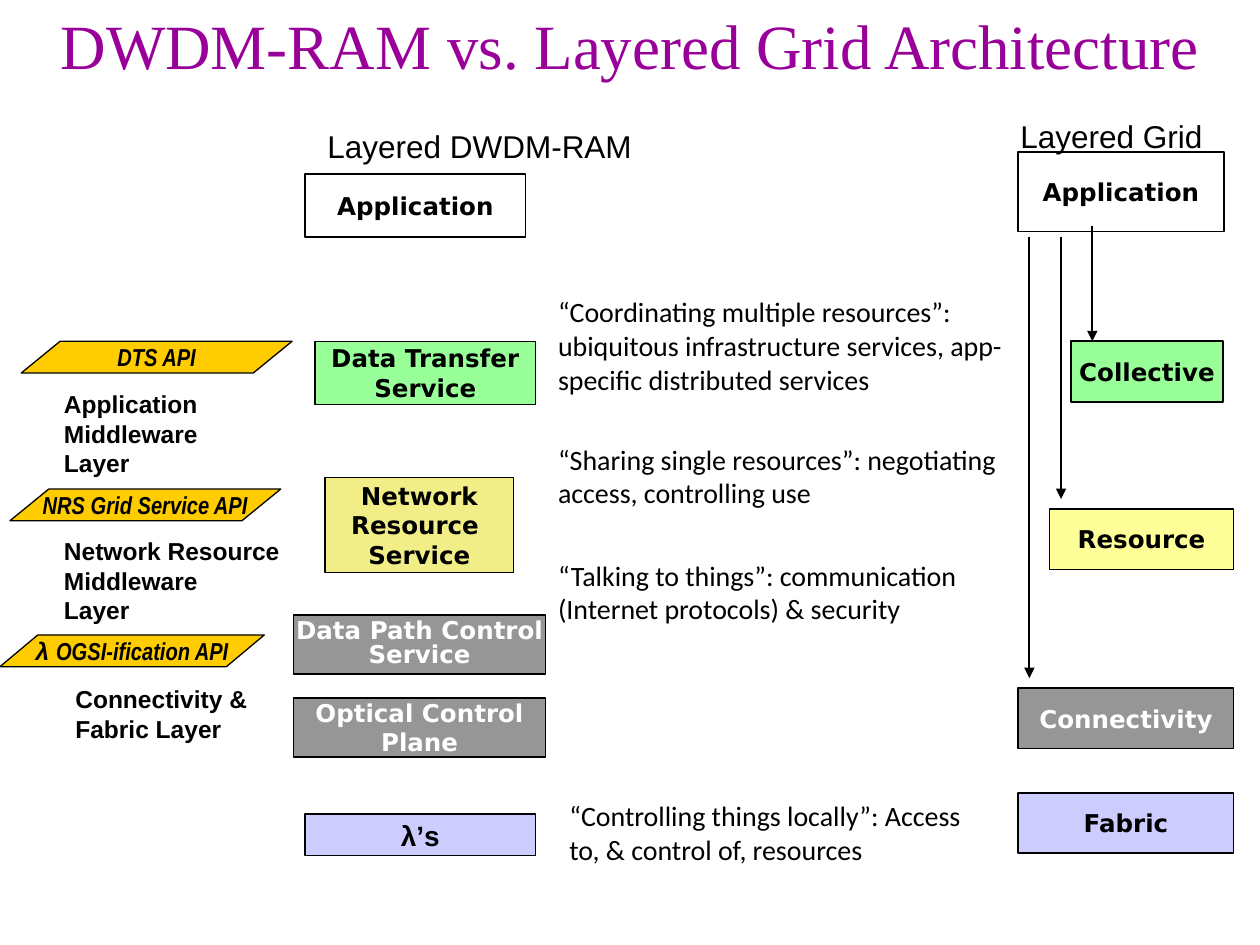
from lxml import etree
from pptx import Presentation
from pptx.dml.color import RGBColor
from pptx.enum.shapes import MSO_CONNECTOR, MSO_SHAPE
from pptx.enum.text import MSO_ANCHOR, MSO_AUTO_SIZE, PP_ALIGN
from pptx.oxml.ns import qn
from pptx.util import Cm, Pt

RECTANGLE = MSO_SHAPE.RECTANGLE
PARALLELOGRAM = MSO_SHAPE.PARALLELOGRAM
STRAIGHT = MSO_CONNECTOR.STRAIGHT
MIDDLE, TOP = MSO_ANCHOR.MIDDLE, MSO_ANCHOR.TOP
CENTER, LEFT = PP_ALIGN.CENTER, PP_ALIGN.LEFT
GROW, FIXED = MSO_AUTO_SIZE.SHAPE_TO_FIT_TEXT, MSO_AUTO_SIZE.NONE

BLACK, WHITE, PURPLE = "000000", "FFFFFF", "990099"
GREEN, YELLOW, KHAKI = "99FF99", "FFFF99", "F1EE87"
GREY, LAVENDER, GOLD = "969696", "CCCCFF", "FFCC00"


def rgb(value):
    return RGBColor.from_string(value)


def write(box, lines, size, face, color=BLACK, bold=False, italic=False,
          align=LEFT, anchor=TOP, wrap=False, spacing=None, fit=FIXED):
    """Each line is a list of (text, font) runs, or a string in the given font."""
    frame = box.text_frame
    frame.word_wrap = wrap
    frame.auto_size = fit
    frame.vertical_anchor = anchor
    for number, line in enumerate(lines):
        para = frame.paragraphs[0] if number == 0 else frame.add_paragraph()
        para.alignment = align
        if spacing:
            para.line_spacing = spacing
        for text, name in ([(line, face)] if isinstance(line, str) else line):
            span = para.add_run()
            span.text = text
            span.font.name = name
            span.font.size = Pt(size)
            span.font.bold = bold
            span.font.italic = italic
            span.font.color.rgb = rgb(color)


deck = Presentation()
deck.slide_width, deck.slide_height = Cm(25.4), Cm(19.05)
page = deck.slides.add_slide(deck.slide_layouts[6])
shapes = page.shapes

# Arrows from the grid application down to the lower layers
for x, start, end in [(20.75, 4.78, 13.67), (22.02, 4.55, 6.88), (21.39, 4.78, 10.06)]:
    arrow = shapes.add_connector(STRAIGHT, Cm(x), Cm(start), Cm(x), Cm(end))
    arrow.line.color.rgb = rgb(BLACK)
    arrow.line.width = Pt(1)
    outline = arrow.line._get_or_add_ln()
    etree.SubElement(outline, qn("a:tailEnd"), type="triangle")
    etree.SubElement(arrow._element.spPr, qn("a:effectLst"))

# Layer boxes: grid stack on the right, DWDM-RAM stack in the middle
grid_layers = [
    (20.53, 3.07, 4.14, 1.6, None, BLACK, ["Application"]),
    (21.59, 6.88, 3.07, 1.22, GREEN, BLACK, ["Collective"]),
    (21.16, 10.26, 3.71, 1.22, YELLOW, BLACK, ["Resource"]),
    (20.53, 13.87, 4.34, 1.22, GREY, WHITE, ["Connectivity"]),
    (20.53, 15.98, 4.34, 1.22, LAVENDER, BLACK, ["Fabric"]),
]
dwdm_layers = [
    (6.15, 3.51, 4.45, 1.27, None, BLACK, ["Application"]),
    (6.35, 6.88, 4.45, 1.27, GREEN, BLACK, ["Data Transfer", "Service"]),
    (6.55, 9.63, 3.81, 1.91, KHAKI, BLACK, ["Network", "Resource ", "Service"]),
    (5.92, 12.4, 5.08, 1.19, GREY, WHITE, ["Data Path Control", "Service"]),
    (5.92, 14.07, 5.08, 1.19, GREY, WHITE, ["Optical Control", "Plane"]),
    (6.15, 16.41, 4.65, 0.84, LAVENDER, BLACK, ["λ’s"]),
]
for layers, border in [(grid_layers, 1), (dwdm_layers, 0.75)]:
    for x, y, width, height, fill, color, lines in layers:
        box = shapes.add_shape(RECTANGLE, Cm(x), Cm(y), Cm(width), Cm(height))
        box.shadow.inherit = False
        if fill:
            box.fill.solid()
            box.fill.fore_color.rgb = rgb(fill)
        else:
            box.fill.background()
        box.line.color.rgb = rgb(BLACK)
        box.line.width = Pt(border)
        size, face = (16, "Arial") if lines == ["λ’s"] else (14, "DejaVu Sans")
        spacing = 0.8 if lines[0] == "Data Path Control" else None
        write(box, lines, size, face, color, bold=True, align=CENTER,
              anchor=MIDDLE, spacing=spacing)

# API tags
for x, y, width, slant, line in [
    (0.43, 6.88, 5.46, 1.224, "DTS API"),
    (0.2, 9.86, 5.46, 1.224, "NRS Grid Service API"),
    (0, 12.8, 5.33, 1.195, [("λ ", "Arial"), ("OGSI-ification API", "Arial Narrow")]),
]:
    tag = shapes.add_shape(PARALLELOGRAM, Cm(x), Cm(y), Cm(width), Cm(0.64))
    tag.adjustments[0] = slant
    tag.shadow.inherit = False
    tag.fill.solid()
    tag.fill.fore_color.rgb = rgb(GOLD)
    tag.line.color.rgb = rgb(BLACK)
    tag.line.width = Pt(0.75)
    write(tag, [line], 14, "Arial Narrow", bold=True, italic=True,
          align=CENTER, anchor=MIDDLE)

# Middleware layer names
for x, y, width, height, lines in [
    (1.04, 7.72, 3.33, 2.03, ["Application", "Middleware", "Layer"]),
    (1.04, 10.69, 4.85, 2.03, ["Network Resource", "Middleware", "Layer"]),
    (1.27, 13.67, 3.99, 1.45, ["Connectivity &", "Fabric Layer"]),
]:
    label = shapes.add_textbox(Cm(x), Cm(y), Cm(width), Cm(height))
    write(label, lines, 14, "Arial", bold=True, fit=GROW)

# Descriptions of the grid layers
for x, y, width, text in [
    (11, 5.82, 9.73, "“Coordinating multiple resources”: ubiquitous infrastructure "
                     "services, app-specific distributed services"),
    (11, 8.79, 9.53, "“Sharing single resources”: negotiating access, controlling use"),
    (11, 11.13, 9.6, "“Talking to things”: communication (Internet protocols) & security"),
    (11.23, 15.98, 8.89, "“Controlling things locally”: Access to, & control of, resources"),
]:
    description = shapes.add_textbox(Cm(x), Cm(y), Cm(width), Cm(2.29))
    write(description, [text], 16, "Calibri", wrap=True, fit=GROW)

# Column headings
for x, y, width, text in [(6.35, 2.44, 6.66, "Layered DWDM-RAM"),
                          (20.32, 2.24, 4.17, "Layered Grid")]:
    heading = shapes.add_textbox(Cm(x), Cm(y), Cm(width), Cm(1.02))
    write(heading, [text], 18, "Arial", fit=GROW)

# Title
title = shapes.add_textbox(Cm(0), Cm(0), Cm(25.4), Cm(2.08))
write(title, ["DWDM-RAM vs. Layered Grid Architecture"], 36, "Times New Roman",
      PURPLE, align=CENTER, wrap=True)

deck.save("out.pptx")
